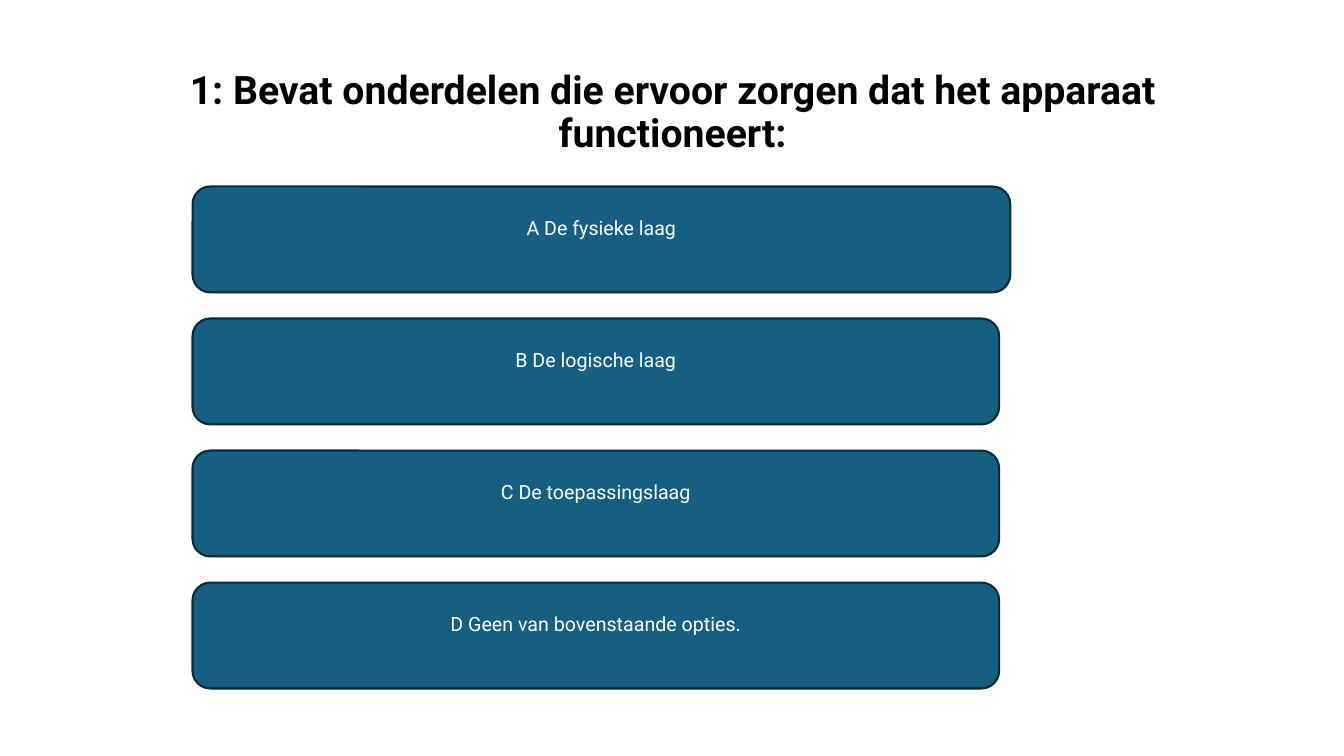
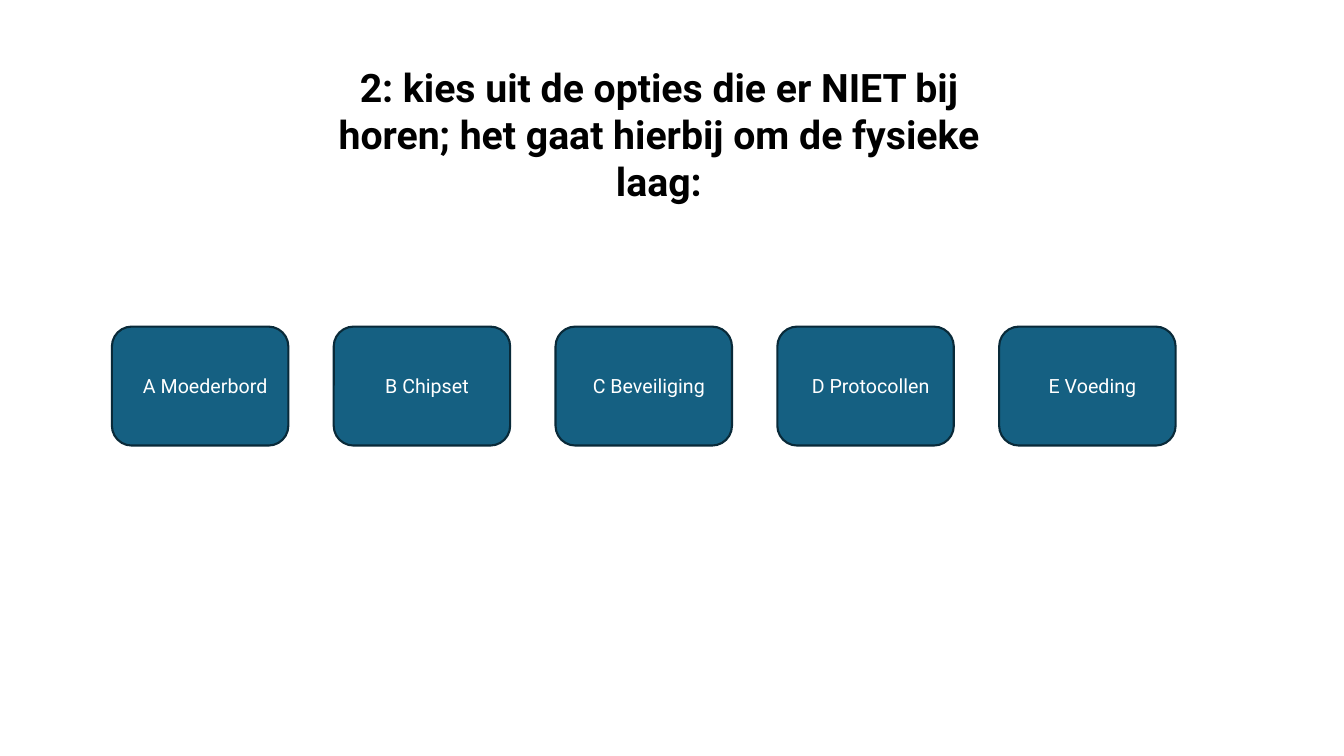
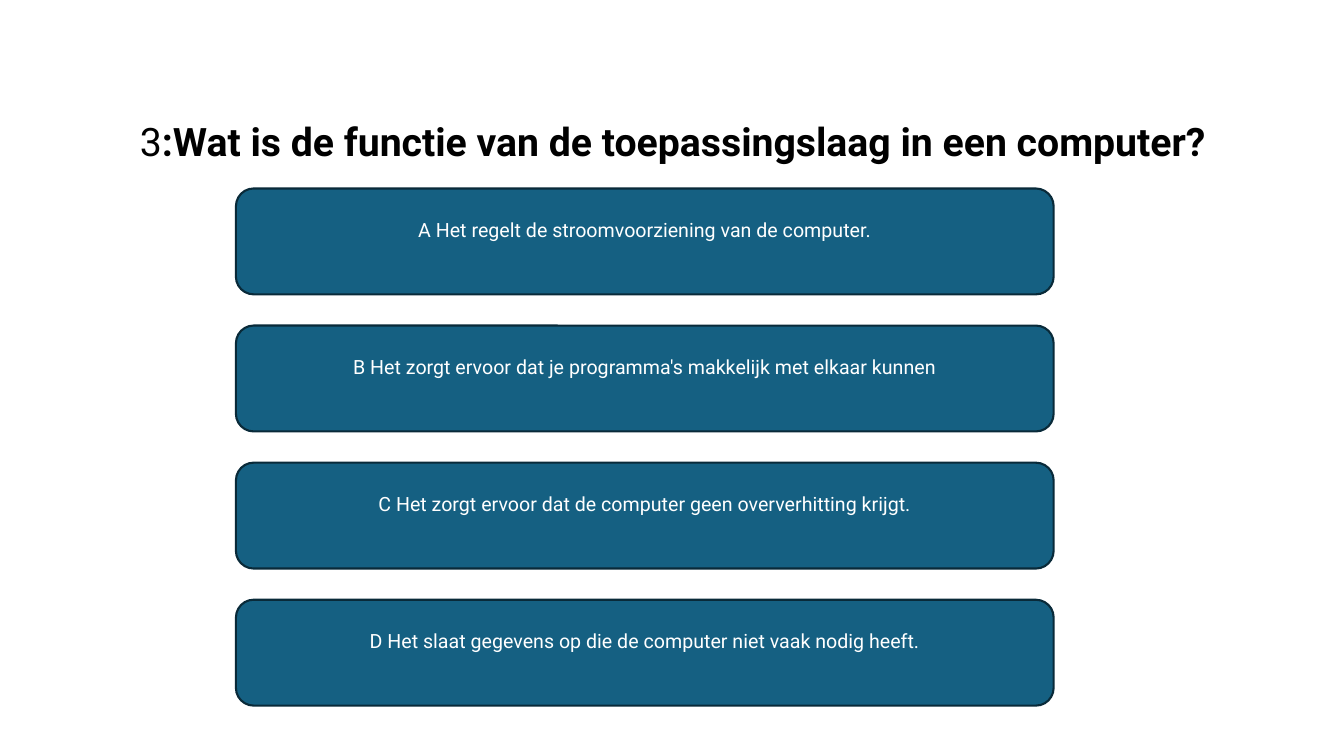
import pptx
import pptx.dml.color
import pptx.enum.shapes
import pptx.enum.text
import pptx.util

PX = 9144  # EMU: one hundredth of an inch
FONT = "Roboto"
BLACK, WHITE, BLUE, NAVY = "000000", "FFFFFF", "156082", "092A39"
INSET = 10
ANCHOR = pptx.enum.text.MSO_ANCHOR
CENTER = pptx.enum.text.PP_ALIGN.CENTER


def px(length):
    return pptx.util.Emu(length * PX)


def color(hex_text):
    return pptx.dml.color.RGBColor.from_string(hex_text)


def style_paragraph(para, size, font_color, bold=False):
    para.alignment = CENTER
    for span in para.runs:
        span.font.name = FONT
        span.font.size = pptx.util.Pt(size)
        span.font.bold = bold
        span.font.color.rgb = color(font_color)


def add_question(deck, text, box, anchor=ANCHOR.MIDDLE, spacing=0.9, bottom=5, plain=""):
    """Add a page titled with the question; plain is a lead-in that is not bold."""
    page = deck.slides.add_slide(deck.slide_layouts.get_by_name("Title Only"))
    title = page.shapes.title
    title.left, title.top, title.width, title.height = map(px, box)
    frame = title.text_frame
    frame.auto_size = pptx.enum.text.MSO_AUTO_SIZE.NONE
    frame.word_wrap = True
    frame.vertical_anchor = anchor
    frame.margin_bottom = px(bottom)
    para = frame.paragraphs[0]
    para.line_spacing = spacing
    for part in filter(None, (plain, text)):
        para.add_run().text = part
    style_paragraph(para, 28, BLACK, bold=True)
    if plain:
        para.runs[0].font.bold = False
    return page


def add_answer(page, text, box, left_inset=INSET, bottom_inset=5):
    answer = page.shapes.add_shape(
        pptx.enum.shapes.MSO_SHAPE.ROUNDED_RECTANGLE, *map(px, box))
    answer.shadow.inherit = False
    answer.fill.solid()
    answer.fill.fore_color.rgb = color(BLUE)
    answer.line.color.rgb = color(NAVY)
    answer.line.width = pptx.util.Pt(1.5)
    frame = answer.text_frame
    frame.word_wrap = True
    frame.vertical_anchor = ANCHOR.MIDDLE
    frame.margin_left, frame.margin_bottom = px(left_inset), px(bottom_inset)
    frame.text = text
    style_paragraph(frame.paragraphs[0], 14, WHITE)


def add_answer_stack(page, left, top, pitch, answers, widths):
    for index, (text, width) in enumerate(zip(answers, widths)):
        add_answer(page, text, (left, top + index * pitch, width, 105), bottom_inset=28)


def add_answer_row(page, left, top, pitch, answers):
    for index, text in enumerate(answers):
        add_answer(page, text, (left + index * pitch, top, 175, 118), left_inset=20)


def main():
    deck = pptx.Presentation()
    deck.slide_width, deck.slide_height = px(1333), px(750)

    page = add_question(
        deck, "1: Bevat onderdelen die ervoor zorgen dat het apparaat functioneert:",
        (92, 40, 1150, 145))
    add_answer_stack(page, 191, 185, 131, (
        "A De fysieke laag",
        "B De logische laag",
        "C De toepassingslaag",
        "D Geen van bovenstaande opties.",
    ), (811, 800, 800, 800))

    page = add_question(
        deck, "2: kies uit de opties die er NIET bij horen; het gaat hierbij om de fysieke laag:",
        (320, 58, 667, 151), anchor=ANCHOR.TOP, spacing=1.0)
    add_answer_row(page, 111, 324, 220, (
        "A Moederbord", "B Chipset", "C Beveiliging", "D Protocollen", "E Voeding"))

    page = add_question(
        deck, ":Wat is de functie van de toepassingslaag in een computer?",
        (92, 102, 1150, 145), bottom=69, plain="3")
    add_answer_stack(page, 234, 187, 136, (
        "A Het regelt de stroomvoorziening van de computer.",
        "B Het zorgt ervoor dat je programma's makkelijk met elkaar kunnen",
        "C Het zorgt ervoor dat de computer geen oververhitting krijgt.",
        "D Het slaat gegevens op die de computer niet vaak nodig heeft.",
    ), [811] * 4)

    deck.save("out.pptx")


if __name__ == "__main__":
    main()
